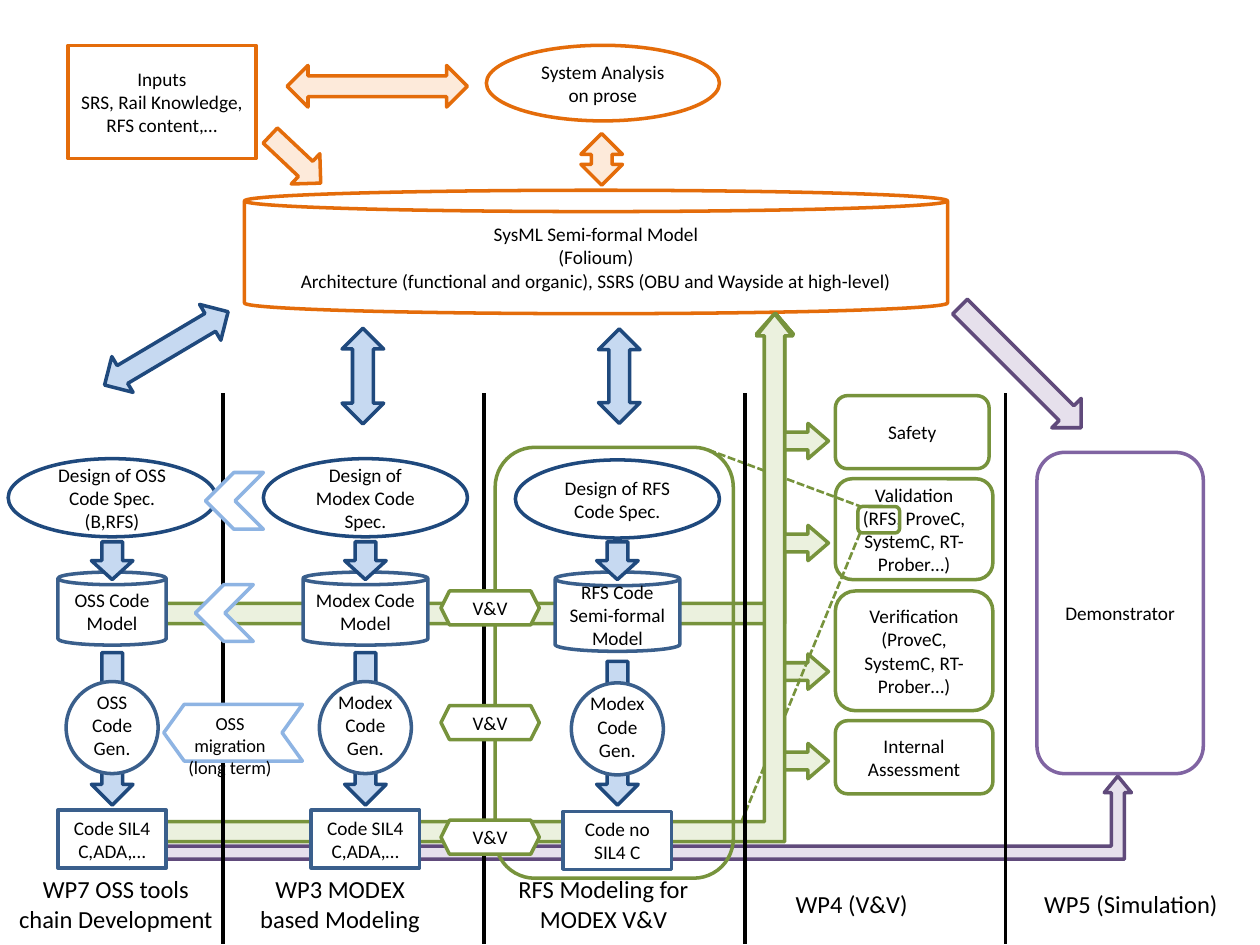
from lxml.etree import SubElement
from pptx import Presentation
from pptx.dml.color import RGBColor
from pptx.enum.dml import MSO_LINE
from pptx.enum.shapes import MSO_CONNECTOR, MSO_SHAPE as SHAPE
from pptx.enum.text import MSO_ANCHOR, PP_ALIGN
from pptx.oxml.ns import qn
from pptx.util import Inches, Pt

COLORS = {
    "black": "000000", "white": "FFFFFF",
    "orange": "E46C0A", "pale orange": "FDEADA",
    "navy": "1F497D", "pale blue": "C6D9F1",
    "steel": "3A5F8C", "sky": "8EB4E3",
    "green": "77933C", "pale green": "EBF1DE",
    "purple": "604A7B", "pale purple": "E6E0EC", "violet": "8064A2",
}


def rgb(name):
    return RGBColor.from_string(COLORS[name])


def write(tf, text, size=11, color="black", anchor=MSO_ANCHOR.MIDDLE):
    """Fill a text frame with centred paragraphs, one for each line."""
    tf.word_wrap = True
    tf.vertical_anchor = anchor
    for i, line in enumerate(text.split("\n")):
        p = tf.add_paragraph() if i else tf.paragraphs[0]
        p.text = line
        p.alignment = PP_ALIGN.CENTER
        for r in p.runs:
            r.font.name = "Calibri"
            r.font.size = Pt(size)
            r.font.color.rgb = rgb(color)


def add_shape(s, kind, x, y, w, h, line, fill="white", text="", rot=0, adj=()):
    sp = s.shapes.add_shape(kind, Inches(x), Inches(y), Inches(w), Inches(h))
    sp.shadow.inherit = False
    sp.rotation = rot
    for i, value in enumerate(adj):
        sp.adjustments[i] = value
    if fill:
        sp.fill.solid()
        sp.fill.fore_color.rgb = rgb(fill)
    else:
        sp.fill.background()
    sp.line.color.rgb = rgb(line)
    sp.line.width = Pt(2)
    if text:
        write(sp.text_frame, text)


def add_label(s, x, y, w, h, text, size=14):
    box = s.shapes.add_textbox(Inches(x), Inches(y), Inches(w), Inches(h))
    write(box.text_frame, text, size=size, anchor=MSO_ANCHOR.TOP)


def add_line(s, x1, y1, x2, y2, color, width, dash=None):
    c = s.shapes.add_connector(MSO_CONNECTOR.STRAIGHT, Inches(x1), Inches(y1),
                               Inches(x2), Inches(y2))
    c.line.color.rgb = rgb(color)
    c.line.width = Pt(width)
    if dash:
        c.line.dash_style = dash
    SubElement(c._element.spPr, qn("a:effectLst"))


def add_down_arrow(s, cx, top, bottom):
    length = bottom - top
    add_shape(s, SHAPE.RIGHT_ARROW, cx - length / 2, (top + bottom - 0.33) / 2,
              length, 0.33, "navy", "pale blue", rot=90)


def add_design_chain(s, cx, spec, model, gen, code, can=(0.99, 0.58),
                     spec_w=1.62, gen_top=5.18, dy=0.0):
    """Design spec, model, code generator and code, one below the other."""
    add_shape(s, SHAPE.CAN, cx - can[0] / 2, 4.54, *can, "steel",
              text=model, adj=[0.173])
    add_shape(s, SHAPE.OVAL, cx - spec_w / 2, 3.64 + dy, spec_w, 0.62, "navy",
              text=spec)
    add_down_arrow(s, cx, gen_top, 6.39)
    add_shape(s, SHAPE.OVAL, cx - 0.365, 5.41 + dy, 0.73, 0.73, "steel")
    add_label(s, cx - 0.365, 5.43 + dy, 0.73, 0.55, gen, size=11)
    add_shape(s, SHAPE.RECTANGLE, cx - 0.43, 6.43 + dy, 0.86, 0.46, "steel",
              text=code)
    add_down_arrow(s, cx, 4.3, 4.6)


def add_model_level(s):
    add_shape(s, SHAPE.BENT_UP_ARROW, 1.22, 2.49, 5.07, 2.46, "green",
              "pale green", adj=[0.065, 0.058, 0.065])
    add_shape(s, SHAPE.BENT_UP_ARROW, 1.22, 6.16, 7.76, 0.66, "purple",
              "pale purple", adj=[0.158, 0.163, 0.199])
    add_shape(s, SHAPE.CAN, 1.94, 1.51, 5.58, 0.98, "orange", adj=[0.173],
              text="SysML Semi-formal Model\n(Folioum)\nArchitecture (functional "
                   "and organic), SSRS (OBU and Wayside at high-level)")
    add_shape(s, SHAPE.OVAL, 3.86, 0.36, 1.85, 0.6, "orange",
              text="System Analysis on prose")
    add_shape(s, SHAPE.RECTANGLE, 0.54, 0.36, 1.49, 0.9, "orange", None,
              "Inputs\nSRS, Rail Knowledge,\nRFS content,…")


def add_block_arrows(s):
    both, right = SHAPE.LEFT_RIGHT_ARROW, SHAPE.RIGHT_ARROW
    for kind, x, y, w, rot, line, fill in [
        (both, 2.28, 0.52, 1.43, 0, "orange", "pale orange"),
        (both, 4.57, 1.1, 0.41, 90, "orange", "pale orange"),
        (right, 2.07, 1.1, 0.55, 43.3, "orange", "pale orange"),
        (both, 0.75, 2.6, 1.14, 149.3, "navy", "pale blue"),
        (both, 2.5, 2.82, 0.76, 90, "navy", "pale blue"),
        (both, 4.54, 2.82, 0.75, 90, "navy", "pale blue"),
        (right, 7.42, 2.75, 1.36, 45, "purple", "pale purple"),
    ]:
        add_shape(s, kind, x, y, w, 0.33, line, fill, rot=rot)


def add_verification(s):
    """WP4 tasks, the branches that feed them and the trunk back to the model."""
    for y, w, h, text in [
        (3.14, 1.22, 0.58, "Safety"),
        (3.8, 1.25, 0.8, "Validation\n(RFS, ProveC, SystemC, RT-Prober…)"),
        (4.69, 1.25, 0.95, "Verification\n(ProveC, SystemC, RT-Prober…)"),
        (5.72, 1.25, 0.58, "Internal\vAssessment"),
    ]:
        add_shape(s, SHAPE.ROUNDED_RECTANGLE, 6.63, y, w, h, "green", text=text)
    for length in (1.15, 1.96, 2.98, 3.69):
        add_shape(s, SHAPE.LEFT_UP_ARROW, 6.295 - length / 2,
                  2.49 + (length - 0.56) / 2, length, 0.56, "green",
                  "pale green", rot=90, adj=[0.25, 0.25, 0.291])
    add_shape(s, SHAPE.ROUNDED_RECTANGLE, 6.81, 4.02, 0.33, 0.21, "green", None)
    for x, y, end in [(5.62, 3.57, 4.02), (5.82, 6.68, 4.22)]:
        add_line(s, x, y, 6.83, end, "green", 1.5, MSO_LINE.SQUARE_DOT)
    add_shape(s, SHAPE.BENT_UP_ARROW, 1.22, 2.49, 5.07, 4.19, "green",
              "pale green", adj=[0.038, 0.034, 0.042])
    add_shape(s, SHAPE.ROUNDED_RECTANGLE, 3.93, 3.55, 1.89, 3.42, "green", None)


def add_migration(s):
    for x, y in [(1.63, 3.75), (1.55, 4.64)]:
        add_shape(s, SHAPE.CHEVRON, x, y, 0.46, 0.45, "sky", rot=180)
    add_shape(s, SHAPE.CHEVRON, 1.3, 5.59, 1.1, 0.45, "sky", rot=180,
              adj=[0.359])
    add_label(s, 1.37, 5.6, 0.91, 0.4, "OSS migration\n(long term)", size=10.5)


def main():
    prs = Presentation()
    prs.slide_width, prs.slide_height = Inches(10), Inches(7.5)
    s = prs.slides.add_slide(prs.slide_layouts[6])

    add_model_level(s)
    for x, y, w, h, text in [
        (-0.04, 6.89, 1.92, 0.57, "WP7 OSS tools\nchain Development"),
        (1.92, 6.89, 1.56, 0.57, "WP3 MODEX based Modeling"),
        (4.01, 6.89, 1.56, 0.57, "RFS Modeling for\nMODEX V&V"),
        (6.19, 7.01, 1.14, 0.34, "WP4 (V&V)"),
        (8.15, 7.01, 1.65, 0.34, "WP5 (Simulation)"),
    ]:
        add_label(s, x, y, w, h, text)
    add_shape(s, SHAPE.ROUNDED_RECTANGLE, 8.23, 3.59, 1.32, 2.55, "violet",
              text="Demonstrator")
    add_block_arrows(s)
    add_verification(s)

    add_design_chain(s, 0.89, "Design of OSS Code Spec. (B,RFS)",
                     "OSS Code\nModel", "OSS\nCode\nGen.", "Code SIL4\nC,ADA,…",
                     can=(0.86, 0.58), spec_w=1.65)
    add_design_chain(s, 2.9, "Design of Modex Code Spec.", "Modex Code\nModel",
                     "Modex\nCode\nGen.", "Code SIL4\nC,ADA,…")
    add_design_chain(s, 4.9, "Design of RFS Code Spec.",
                     "RFS Code\nSemi-formal Model", "Modex\nCode\nGen.",
                     "Code no SIL4 C", can=(0.99, 0.63), gen_top=5.25, dy=0.01)

    for i in range(4):
        x = 1.77 + 2.07 * i
        add_line(s, x, 3.12, x, 7.49, "black", 2.25)
    add_migration(s)
    for i in range(3):
        add_shape(s, SHAPE.HEXAGON, 3.5, 6.51 - 0.91 * i, 0.78, 0.27, "green",
                  text="V&V")
    prs.save("out.pptx")


if __name__ == "__main__":
    main()
